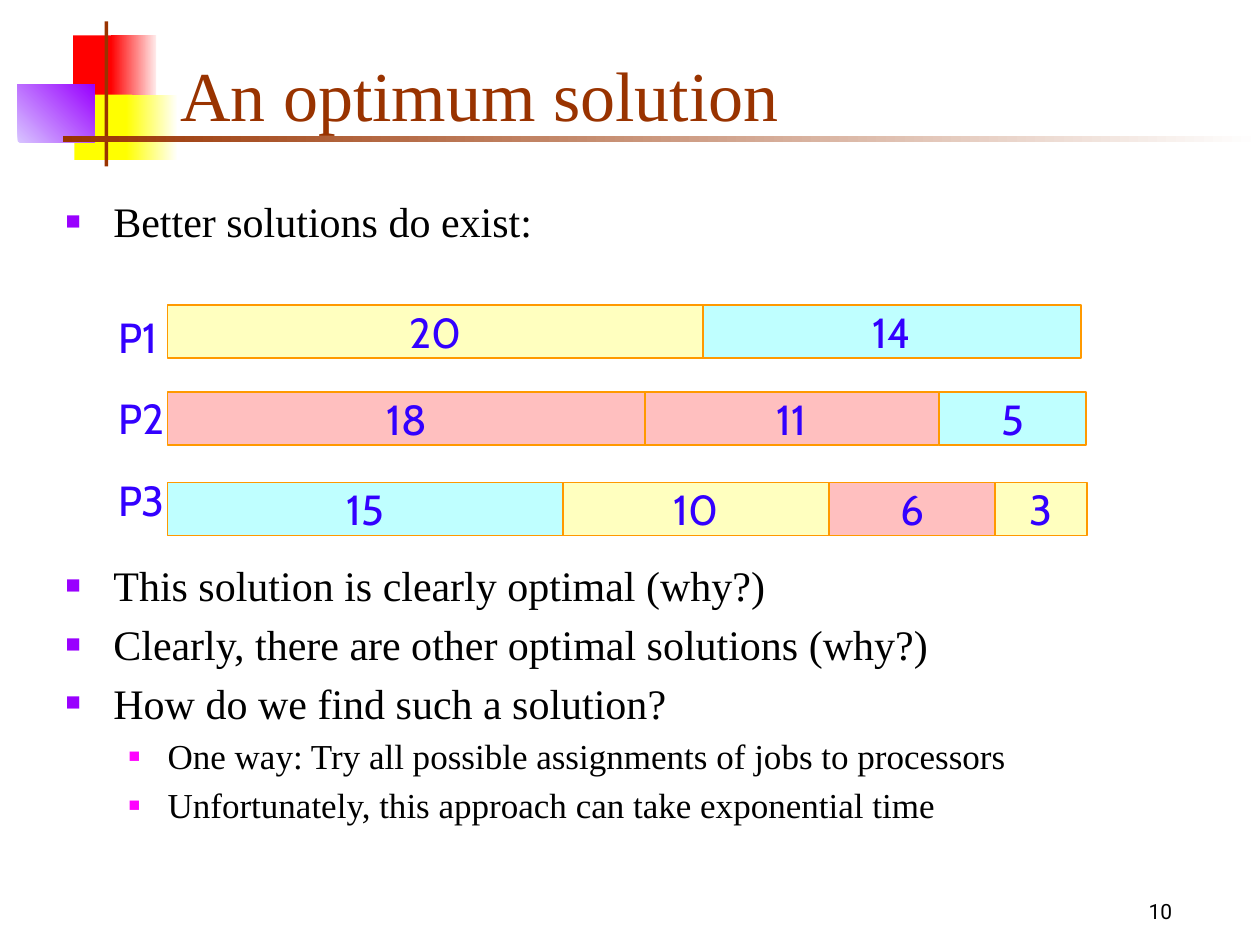
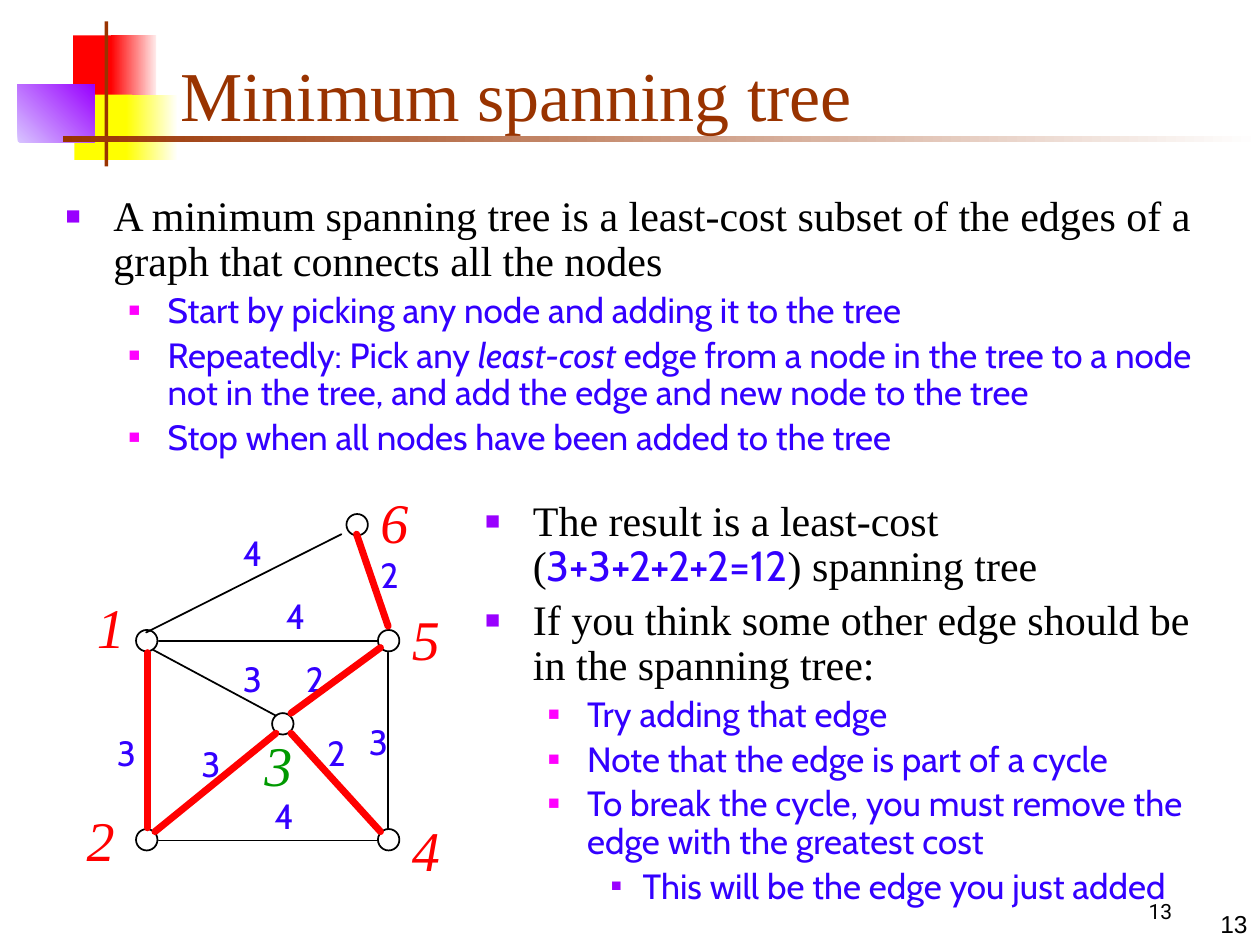
from collections import namedtuple

from lxml import etree
from pptx import Presentation
from pptx.dml.color import RGBColor
from pptx.enum.shapes import MSO_CONNECTOR, MSO_SHAPE
from pptx.enum.text import MSO_ANCHOR, MSO_AUTO_SIZE, PP_ALIGN
from pptx.oxml.ns import qn
from pptx.util import Pt

PX = 9144  # EMU in one px, 100 px to the inch
RECTANGLE, OVAL = MSO_SHAPE.RECTANGLE, MSO_SHAPE.OVAL
STRAIGHT = MSO_CONNECTOR.STRAIGHT
LEFT, CENTER, RIGHT = PP_ALIGN.LEFT, PP_ALIGN.CENTER, PP_ALIGN.RIGHT
TOP, MIDDLE, BOTTOM = MSO_ANCHOR.TOP, MSO_ANCHOR.MIDDLE, MSO_ANCHOR.BOTTOM
NO_FIT = MSO_AUTO_SIZE.NONE

BLACK = RGBColor(0x00, 0x00, 0x00)
WHITE = RGBColor(0xFF, 0xFF, 0xFF)
RED = RGBColor(0xFF, 0x00, 0x00)
PALE_RED = RGBColor(0xFF, 0xEA, 0xEA)
YELLOW = RGBColor(0xFF, 0xFF, 0x00)
PALE_YELLOW = RGBColor(0xFF, 0xFF, 0xF8)
PURPLE = RGBColor(0x99, 0x00, 0xFF)
LILAC = RGBColor(0xD8, 0xC4, 0xFF)
BROWN = RGBColor(0x99, 0x33, 0x00)
MAGENTA = RGBColor(0xFF, 0x00, 0xFF)
BLUE = RGBColor(0x33, 0x00, 0xFF)
GREEN = RGBColor(0x00, 0x99, 0x00)
ORANGE = RGBColor(0xFF, 0x99, 0x00)
CREAM = RGBColor(0xFF, 0xFF, 0xBF)
PINK = RGBColor(0xFF, 0xBF, 0xBF)
AQUA = RGBColor(0xBF, 0xFF, 0xFF)

SERIF, SANS = "Times New Roman", "Cabin"
SERIF_TEXT = dict(font=SERIF, color=BLACK)
SANS_TEXT = dict(font=SANS, color=BLUE)

Level = namedtuple("Level", "margin hanging size bullet_color bullet_percent")
LEVELS = [
    Level(38, 38, 24, PURPLE, 60),
    Level(81, 31, 20, MAGENTA, 55),
    Level(125, 25, 20, PURPLE, 50),
]

# left, top, width, height, colours from start to end, angle
ORNAMENT = [
    (58, 28, 35, 52, [RED], 0),
    (88, 28, 36, 52, [RED, PALE_RED], 0),
    (59, 75, 46, 52, [YELLOW], 0),
    (100, 75, 40, 52, [YELLOW, PALE_YELLOW], 0),
    (14, 67, 61, 46, [LILAC, PURPLE], 45),
    (83, 17, 3, 115, [BROWN], 0),
    (50, 108, 950, 5, [BROWN, WHITE], 0),
]

# top, then the left edge of the row, then each job: time, right edge, colour
PROCESSORS = [
    (242, 133, [(20, 558, CREAM), (14, 858, AQUA)]),
    (311, 133, [(18, 512, PINK), (11, 745, PINK), (5, 862, AQUA)]),
    (383, 133, [(15, 447, AQUA), (10, 658, CREAM), (6, 790, PINK), (3, 863, CREAM)]),
]

# name, centre of the node, corner of its label, label colour
NODES = [
    ("1", 116, 509, 67, 465, RED),
    ("2", 116, 667, 59, 634, RED),
    ("3", 224, 575, 200, 575, GREEN),
    ("4", 308, 667, 317, 642, RED),
    ("5", 308, 509, 317, 475, RED),
    ("6", 283, 417, 292, 382, RED),
]

# cost, corner of its label, ends of the edge
OTHER_EDGES = [
    (4, 208, 626, (126, 667, 299, 667)),
    (3, 283, 567, (308, 658, 308, 518)),
    (4, 217, 467, (126, 509, 299, 509)),
    (4, 183, 417, (116, 502, 271, 424)),
    (3, 183, 517, (122, 516, 219, 568)),
]
TREE_EDGES = [
    (3, 83, 576, (117, 518, 117, 657)),
    (3, 150, 584, (123, 660, 219, 582)),
    (2, 250, 576, (231, 582, 302, 660)),
    (2, 233, 517, (231, 566, 302, 514)),
    (2, 292, 434, (308, 497, 283, 424)),
]


def write(para, text, size=24, font=SERIF, color=BLACK, italic=False):
    span = para.add_run()
    span.text = text
    span.font.size = Pt(size)
    span.font.name = font
    span.font.color.rgb = color
    span.font.italic = italic


def add_bullet(para, level):
    properties = para._p.get_or_add_pPr()
    properties.set("marL", str(level.margin * PX))
    properties.set("indent", str(-level.hanging * PX))
    color = etree.SubElement(properties, qn("a:buClr"))
    etree.SubElement(color, qn("a:srgbClr"), val=str(level.bullet_color))
    etree.SubElement(properties, qn("a:buSzPct"), val=str(level.bullet_percent * 1000))
    etree.SubElement(properties, qn("a:buFont"), typeface="Arial")
    etree.SubElement(properties, qn("a:buChar"), char="■")


class SlideBuilder:
    def __init__(self):
        self.deck = Presentation()
        self.deck.slide_width, self.deck.slide_height = 1000 * PX, 750 * PX
        self.page = None

    def start(self, title, number):
        """Begin a slide with the shared ornament, title and page number."""
        self.page = self.deck.slides.add_slide(self.deck.slide_layouts[3])
        for left, top, width, height, colors, angle in ORNAMENT:
            self.shape(RECTANGLE, left, top, width, height, colors, angle=angle)
        self.text(str(number), 867, 708, 108, 30, align=CENTER, size=12, font="Roboto")
        frame = self.placeholder(0, 133, 33, 852, 83, MIDDLE)
        frame.paragraphs[0].alignment = LEFT
        write(frame.paragraphs[0], title, size=40, color=BROWN)

    def placeholder(self, index, left, top, width, height, anchor=TOP):
        """Move a template placeholder to the front and return its text frame."""
        box = self.page.placeholders[index]
        box.left, box.top, box.width, box.height = (
            length * PX for length in (left, top, width, height))
        box.element.getparent().append(box.element)
        frame = box.text_frame
        frame.auto_size = NO_FIT
        frame.vertical_anchor = anchor
        return frame

    def bullets(self, index, place, items, spacing=1.0):
        """Fill a body placeholder; an item is a level and its (text, format) spans."""
        frame = self.placeholder(index, *place)
        for position, (depth, *spans) in enumerate(items):
            para = frame.add_paragraph() if position else frame.paragraphs[0]
            level = LEVELS[depth]
            para.level = depth
            para.line_spacing = spacing
            para.space_before = Pt(level.size * 0.2 if position else 0)
            add_bullet(para, level)
            for text, style in spans:
                write(para, text, size=level.size, **style)

    def shape(self, kind, left, top, width, height, colors=(), line=None, angle=0):
        shape = self.page.shapes.add_shape(
            kind, left * PX, top * PX, width * PX, height * PX)
        shape.shadow.inherit = False
        if len(colors) > 1:
            shape.fill.gradient()
            shape.fill.gradient_angle = angle
            for stop, color, position in zip(shape.fill.gradient_stops, colors, (0, 1)):
                stop.color.rgb = color
                stop.position = position
        elif colors:
            shape.fill.solid()
            shape.fill.fore_color.rgb = colors[0]
        else:
            shape.fill.background()
        if line is None:
            shape.line.fill.background()
        else:
            shape.line.color.rgb = line
            shape.line.width = Pt(1)
        return shape

    def text(self, lines, left, top, width, height, align=LEFT, anchor=TOP,
             spacing=1.0, gap=0, **style):
        box = self.page.shapes.add_textbox(left * PX, top * PX, width * PX, height * PX)
        frame = box.text_frame
        frame.word_wrap = True
        frame.vertical_anchor = anchor
        for position, line in enumerate(lines.split("\n")):
            para = frame.add_paragraph() if position else frame.paragraphs[0]
            para.alignment = align
            para.line_spacing = spacing
            para.space_before = Pt(gap if position else 0)
            write(para, line, **style)

    def bar(self, label, left, top, right, color):
        bar = self.shape(RECTANGLE, left, top, right - left, 42, [color], ORANGE)
        frame = bar.text_frame
        frame.word_wrap = False
        frame.vertical_anchor = MIDDLE
        frame.paragraphs[0].alignment = CENTER
        write(frame.paragraphs[0], label, **SANS_TEXT)

    def line(self, ends, color, width):
        line = self.page.shapes.add_connector(STRAIGHT, *(end * PX for end in ends))
        line.line.color.rgb = color
        line.line.width = Pt(width)
        properties = line.element.spPr
        properties.find(qn("a:ln")).set("cap", "rnd")
        etree.SubElement(properties, qn("a:effectLst"))


def build_optimum(builder):
    builder.start("An optimum solution", 10)
    builder.bullets(2, (42, 439, 938, 231), [
        (0, ("This solution is clearly optimal (why?)", SERIF_TEXT)),
        (0, ("Clearly, there are other optimal solutions (why?)", SERIF_TEXT)),
        (0, ("How do we find such a solution?", SERIF_TEXT)),
        (1, ("One way: Try all possible assignments of jobs to processors", SERIF_TEXT)),
        (1, ("Unfortunately, this approach can take exponential time", SERIF_TEXT)),
    ])
    builder.bullets(1, (42, 150, 938, 58), [
        (0, ("Better solutions do exist:", SERIF_TEXT)),
    ])
    for top, left, jobs in PROCESSORS:
        for time, right, color in jobs:
            builder.bar(str(time), left, top, right, color)
            left = right
    builder.text("P1\nP2\nP3", 84, 234, 66, 193, spacing=1.2, gap=12, **SANS_TEXT)


def build_spanning_tree(builder):
    builder.start("Minimum spanning tree", 13)
    builder.text("13", 792, 700, 208, 50, align=RIGHT, anchor=BOTTOM, size=14, font="Arial")
    builder.bullets(1, (42, 150, 938, 240), [
        (0, ("A minimum spanning tree is a least-cost subset of the edges of a graph "
             "that connects all the nodes", SERIF_TEXT)),
        (1, ("Start by picking any node and adding it to the tree", SANS_TEXT)),
        (1, ("Repeatedly: Pick any ", SANS_TEXT),
            ("least-cost", dict(SANS_TEXT, italic=True)),
            (" edge from a node in the tree to a node not in the tree, "
             "and add the edge and new node to the tree", SANS_TEXT)),
        (1, ("Stop when all nodes have been added to the tree", SANS_TEXT)),
    ], spacing=0.9)
    builder.bullets(2, (375, 392, 600, 342), [
        (0, ("The result is a least-cost (", SERIF_TEXT),
            ("3+3+2+2+2=12", SANS_TEXT),
            (") spanning tree", SERIF_TEXT)),
        (0, ("If you think some other edge should be in the spanning tree:", SERIF_TEXT)),
        (1, ("Try adding that edge", SANS_TEXT)),
        (1, ("Note that the edge is part of a cycle", SANS_TEXT)),
        (1, ("To break the cycle, you must remove the edge with the greatest cost",
             SANS_TEXT)),
        (2, ("This will be the edge you just added", SANS_TEXT)),
    ], spacing=0.9)
    for name, x, y, left, top, color in NODES:
        builder.text(name, left, top, 50, 63, size=32, color=color, italic=True)
        builder.shape(OVAL, x - 8, y - 9, 17, 17, line=BLACK)
    for edges, color, width in ((OTHER_EDGES, BLACK, 1), (TREE_EDGES, RED, 4)):
        for cost, left, top, ends in edges:
            builder.text(str(cost), left, top, 25, 43, size=20, **SANS_TEXT)
            builder.line(ends, color, width)


def main():
    builder = SlideBuilder()
    build_optimum(builder)
    build_spanning_tree(builder)
    builder.deck.save("out.pptx")


if __name__ == "__main__":
    main()
